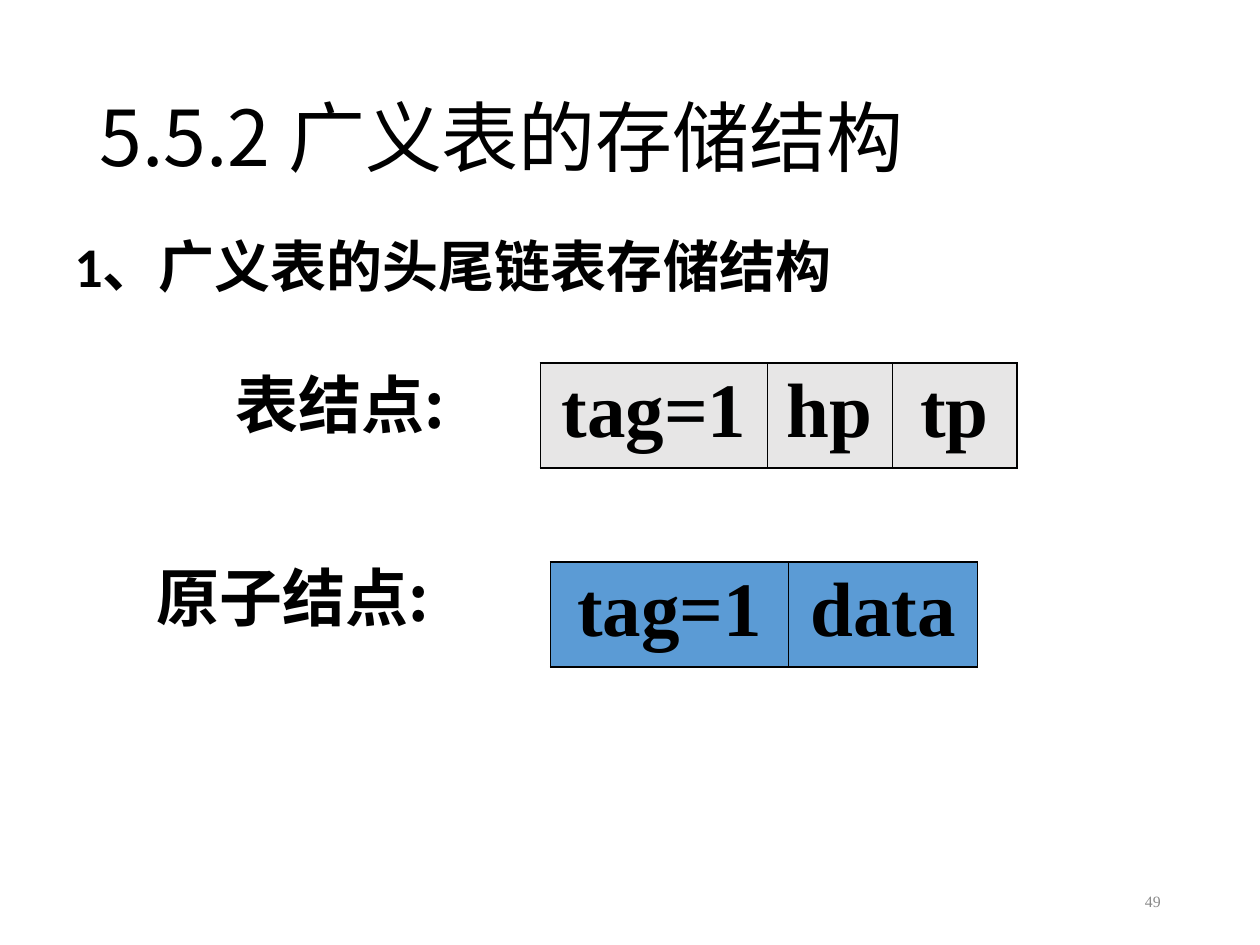
from dataclasses import dataclass

from lxml.etree import SubElement
from pptx import Presentation
from pptx.dml.color import RGBColor
from pptx.enum.text import MSO_ANCHOR, MSO_AUTO_SIZE, PP_ALIGN as Align
from pptx.oxml.ns import qn
from pptx.util import Inches, Pt

BLACK = RGBColor(0x00, 0x00, 0x00)
GRAY = RGBColor(0x89, 0x89, 0x89)
LIGHT_GRAY = RGBColor(0xE7, 0xE6, 0xE6)
BLUE = RGBColor(0x5B, 0x9B, 0xD5)
CJK, LATIN, SERIF = "Noto Sans CJK SC", "Calibri", "Times New Roman"
UNIT = Inches(0.1)
OUTER, INNER = Pt(1.08), Pt(0.45)


@dataclass(frozen=True)
class Area:
    col: float
    row: float
    cols: float
    rows: float

    def box(self) -> tuple[int, ...]:
        return tuple(round(n * UNIT) for n in (self.col, self.row, self.cols, self.rows))


@dataclass(frozen=True)
class Node:
    label: str
    label_area: Area
    fields: tuple[str, ...]
    widths: tuple[float, ...]
    col: float
    row: float
    fill: RGBColor
    right_edge: int


NODES = (
    Node("表结点:", Area(17.7, 28.5, 21.2, 7), ("tag=1", "hp", "tp"),
         (18, 9.9, 9.9), 42.9, 28.8, LIGHT_GRAY, OUTER),
    Node("原子结点:", Area(11.4, 43.8, 26.2, 7), ("tag=1", "data"),
         (18.9, 15), 43.7, 44.6, BLUE, INNER),
)
ROW_HEIGHT = 8.3


def write(frame, text: str, *, size: float, font: str, color: RGBColor = BLACK,
          bold: bool = False, align: Align = Align.LEFT,
          line: float | None = None, before: float | None = None):
    paragraph = frame.paragraphs[0]
    paragraph.alignment = align
    if line is not None:
        paragraph.line_spacing = line
    if before is not None:
        paragraph.space_before = Pt(before)
    run = paragraph.add_run()
    run.text = text
    run.font.size, run.font.bold, run.font.name = Pt(size), bold, font
    run.font.color.rgb = color
    SubElement(run.font._element, qn("a:ea")).set("typeface", CJK)
    return paragraph


def place(shape, area: Area) -> None:
    shape.left, shape.top, shape.width, shape.height = area.box()


def add_borders(cell, left: int, right: int) -> None:
    properties = cell._tc.get_or_add_tcPr()
    for side, width in zip("LRTB", (left, right, OUTER, OUTER)):
        border = SubElement(properties, qn(f"a:ln{side}"), w=str(int(width)))
        color = SubElement(SubElement(border, qn("a:solidFill")), qn("a:srgbClr"))
        color.set("val", str(BLACK))


def draw_node(slide, node: Node) -> None:
    label = slide.shapes.add_textbox(*node.label_area.box()).text_frame
    label.word_wrap = False
    label.auto_size = MSO_AUTO_SIZE.SHAPE_TO_FIT_TEXT
    write(label, node.label, size=36, font=CJK, bold=True)

    area = Area(node.col, node.row, sum(node.widths), ROW_HEIGHT)
    table = slide.shapes.add_table(1, len(node.fields), *area.box()).table
    table.first_row = table.horz_banding = False
    last = len(node.fields) - 1
    for index, (field, width) in enumerate(zip(node.fields, node.widths)):
        table.columns[index].width = round(width * UNIT)
        cell = table.cell(0, index)
        add_borders(cell, INNER if index else OUTER,
                    node.right_edge if index == last else INNER)
        cell.fill.solid()
        cell.fill.fore_color.rgb = node.fill
        write(cell.text_frame, field, size=44, font=SERIF, bold=True,
              align=Align.CENTER, before=11)


def main() -> None:
    deck = Presentation()
    deck.slide_width, deck.slide_height = 100 * UNIT, 75 * UNIT
    slide = deck.slides.add_slide(deck.slide_layouts[1])

    title, body = slide.placeholders
    place(title, Area(6.9, 4, 86.3, 14.5))
    title.text_frame.vertical_anchor = MSO_ANCHOR.MIDDLE
    write(title.text_frame, "5.5.2 广义表的存储结构", size=44, font=CJK, line=0.9)

    place(body, Area(4.9, 18.5, 86.3, 47.6))
    heading = write(body.text_frame, "1、广义表的头尾链表存储结构", size=32,
                    font=LATIN, bold=True, line=0.9, before=7.5)
    heading_format = heading._p.get_or_add_pPr()
    heading_format.set("marL", "0")
    heading_format.set("indent", "0")
    SubElement(heading_format, qn("a:buNone"))

    for node in NODES:
        draw_node(slide, node)

    page = slide.shapes.add_textbox(*Area(70.6, 69.5, 22.5, 4).box()).text_frame
    page.word_wrap = True
    page.vertical_anchor = MSO_ANCHOR.MIDDLE
    write(page, "49", size=9, font=SERIF, color=GRAY, align=Align.RIGHT)

    deck.save("out.pptx")


if __name__ == "__main__":
    main()
